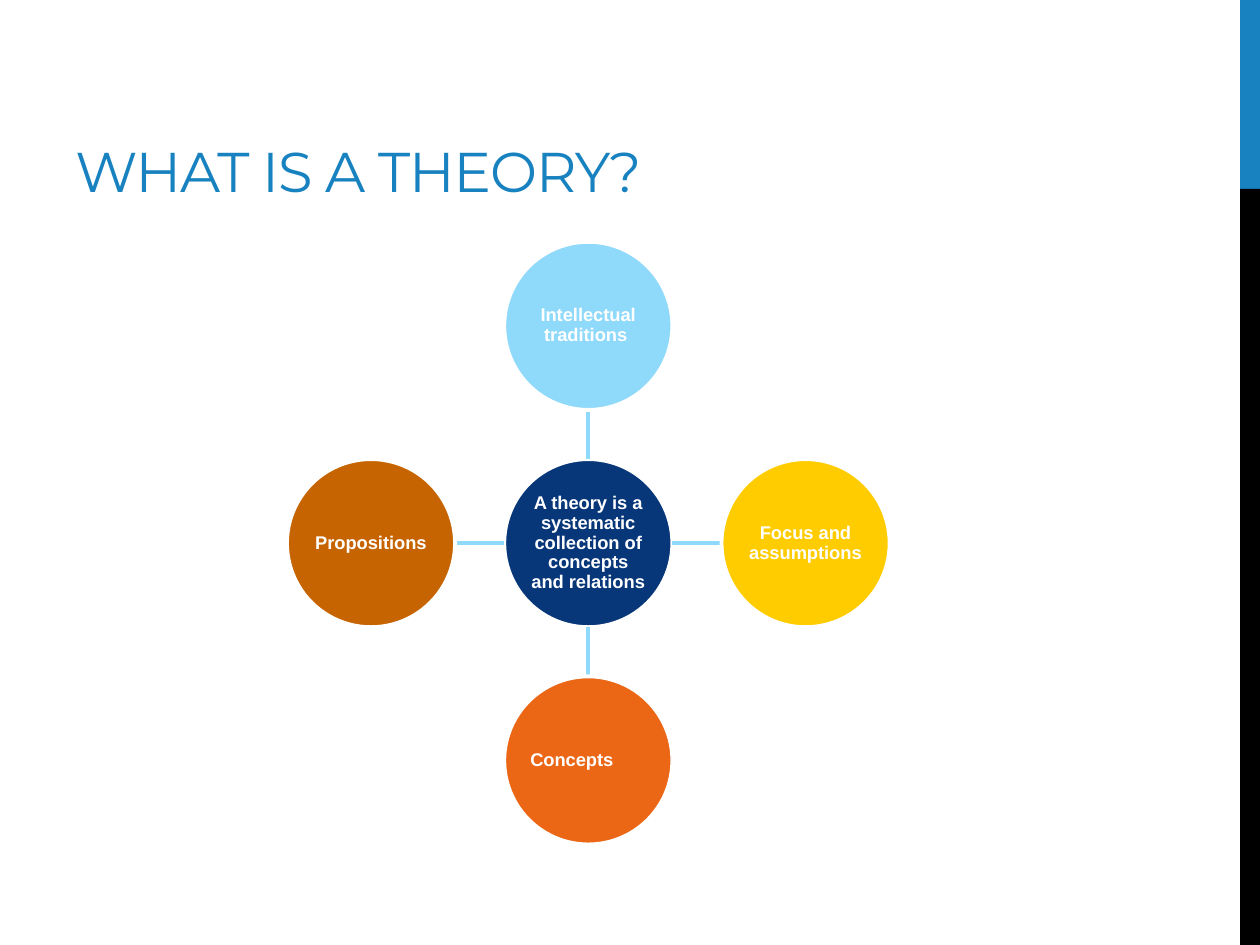
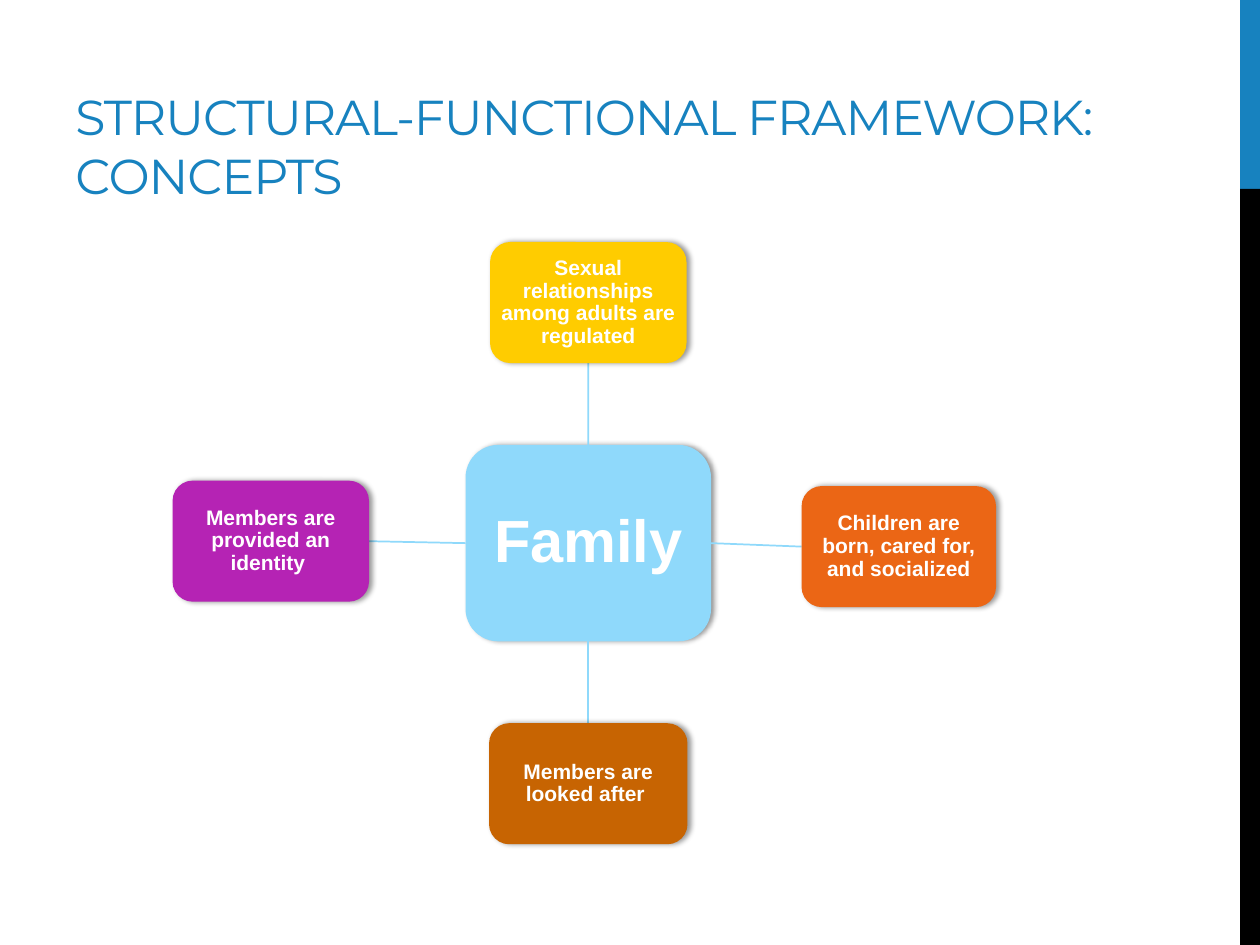
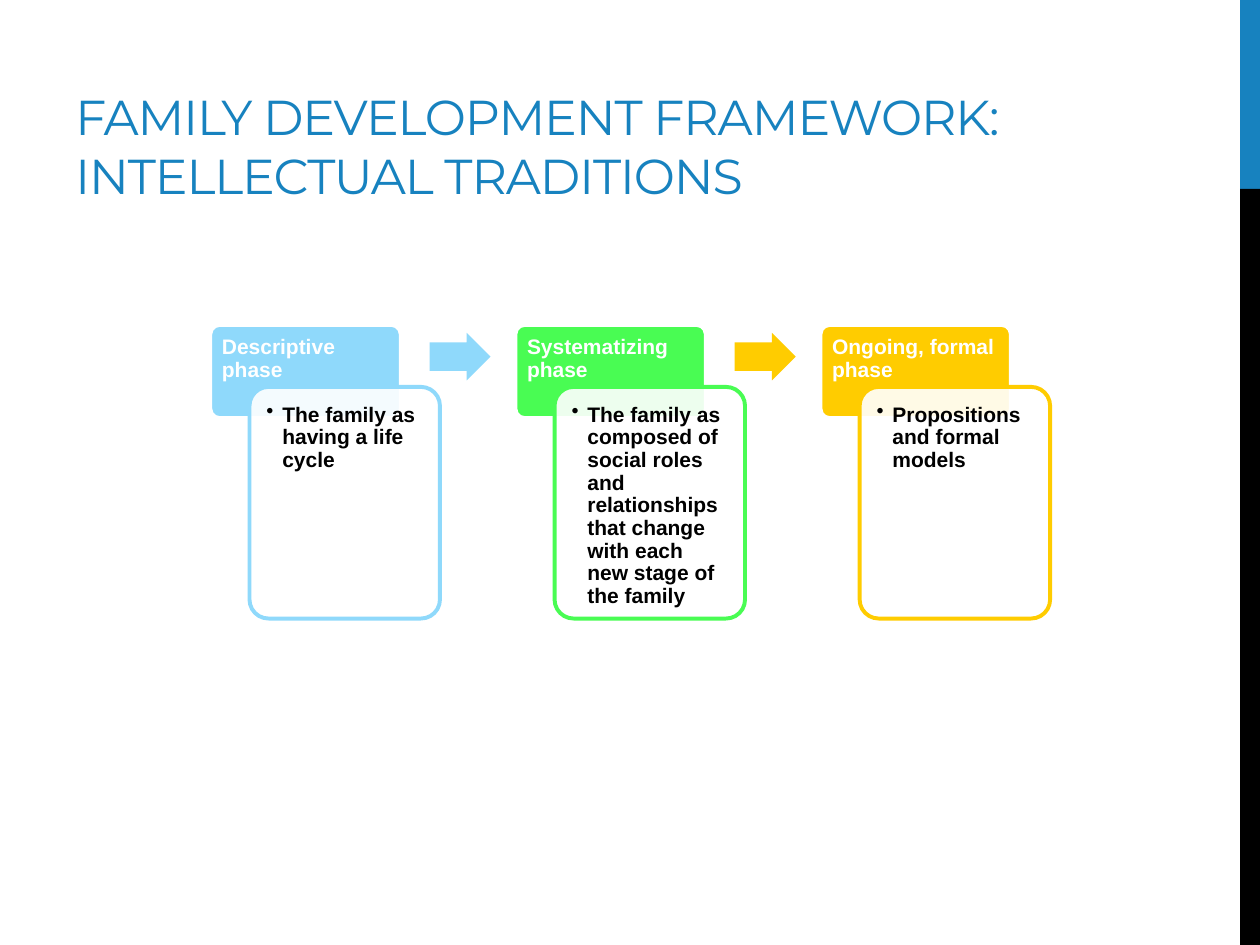
from lxml.etree import SubElement
from pptx import Presentation
from pptx.dml.color import RGBColor
from pptx.enum.shapes import MSO_CONNECTOR, MSO_SHAPE
from pptx.enum.text import MSO_ANCHOR, PP_ALIGN
from pptx.oxml.ns import qn
from pptx.util import Cm, Pt

# Shared look
BLUE, BLACK, WHITE = "1782BF", "000000", "FFFFFF"
SKY, NAVY, YELLOW, ORANGE = "8FD9FB", "073779", "FFCC00", "EB6615"
BROWN, PURPLE, GREEN = "C76402", "B523B4", "49FC53"
TITLE_FONT, BODY_FONT = "Montserrat", "Arial"
OUTLINE = 2.25
HUB_CENTRE = (11.86, 10.95)
TOP, LEFT, BOTTOM, RIGHT = range(4)  # sides, numbered as connection sites
DIRECTIONS = {TOP: (0, -1), LEFT: (-1, 0), BOTTOM: (0, 1), RIGHT: (1, 0)}

# Content: a spoke is side, text, colour, centre offset, size, alignment
CIRCLE, PITCH = (3.39, 3.39), 4.38
THEORY = {
    "title": ["WHAT IS A THEORY?"], "title_size": 32, "title_width": 16.08,
    "form": MSO_SHAPE.OVAL, "text_size": 10.5, "inset": 0.03,
    "outline": WHITE, "link_width": 2.25, "shadow": False,
    "hub": ("A theory is a systematic collection of concepts and relations",
            NAVY, CIRCLE, 10.5),
    "spokes": [
        (TOP, "Intellectual traditions ", SKY, (0, -PITCH), CIRCLE, PP_ALIGN.CENTER),
        (RIGHT, "Focus and assumptions ", YELLOW, (PITCH, 0), CIRCLE, PP_ALIGN.CENTER),
        (BOTTOM, "Concepts", ORANGE, (0, PITCH), CIRCLE, PP_ALIGN.LEFT),
        (LEFT, "Propositions ", BROWN, (-PITCH, 0), CIRCLE, PP_ALIGN.CENTER),
    ],
}
FUNCTIONS = {
    "title": ["STRUCTURAL-FUNCTIONAL FRAMEWORK:", "CONCEPTS"],
    "title_size": 28, "title_width": 23.5,
    "form": MSO_SHAPE.ROUNDED_RECTANGLE, "text_size": 12, "inset": 0.08,
    "outline": None, "link_width": 1, "shadow": True,
    "hub": ("Family", SKY, (4.95, 3.96), 34),
    "spokes": [
        (TOP, "Sexual relationships among adults are regulated", YELLOW,
         (0, -4.85), (3.96, 2.44), PP_ALIGN.CENTER),
        (RIGHT, "Children are born, cared for, and socialized", ORANGE,
         (6.26, 0.07), (3.92, 2.44), PP_ALIGN.CENTER),
        (BOTTOM, "Members are looked after ", BROWN,
         (0, 4.85), (4, 2.44), PP_ALIGN.CENTER),
        (LEFT, "Members are provided an identity ", PURPLE,
         (-6.4, -0.04), (3.96, 2.44), PP_ALIGN.CENTER),
    ],
}
PHASES_TITLE = ["FAMILY DEVELOPMENT FRAMEWORK:", "INTELLECTUAL TRADITIONS"]
PHASES = [  # heading, text, colour, colour of the arrow that follows
    ("Descriptive phase", "The family as having a life cycle", SKY, SKY),
    ("Systematizing phase",
     "The family as composed of social roles and relationships "
     "that change with each new stage of the family", GREEN, YELLOW),
    ("Ongoing, formal phase", "Propositions and formal models", YELLOW, None),
]


def colour(hex_string):
    return RGBColor.from_string(hex_string)


def add_box(slide, form, box, fill, outline=None):
    shape = slide.shapes.add_shape(form, *map(Cm, box))
    shape.shadow.inherit = False
    shape.fill.solid()
    shape.fill.fore_color.rgb = colour(fill)
    if outline:
        shape.line.color.rgb = colour(outline)
        shape.line.width = Pt(OUTLINE)
    else:
        shape.line.fill.background()
    return shape


def add_run(paragraph, text, size, hex_string, font=BODY_FONT, bold=True):
    run = paragraph.add_run()
    run.text = text
    run.font.name, run.font.size, run.font.bold = font, Pt(size), bold
    run.font.color.rgb = colour(hex_string)
    return run


def write(shape, text, size, inset, hex_string=WHITE,
          align=PP_ALIGN.CENTER, anchor=MSO_ANCHOR.MIDDLE):
    frame = shape.text_frame
    frame.word_wrap = True
    frame.vertical_anchor = anchor
    frame.margin_left = frame.margin_right = Cm(inset)
    frame.margin_top = frame.margin_bottom = Cm(inset)
    paragraph = frame.paragraphs[0]
    paragraph.alignment = align
    paragraph.line_spacing = 0.9
    add_run(paragraph, text, size, hex_string)
    return paragraph


def add_shadow(shape):
    effects = shape._element.spPr.find(qn("a:effectLst"))
    shadow = SubElement(effects, qn("a:outerShdw"), blurRad=str(Pt(3.1)),
                        dist=str(Pt(1.8)), dir="0", rotWithShape="0")
    shade = SubElement(shadow, qn("a:srgbClr"), val=BLACK)
    SubElement(shade, qn("a:alpha"), val="40000")


def add_bullet(paragraph, indent):
    properties = paragraph._p.get_or_add_pPr()
    properties.set("marL", str(Cm(indent)))
    properties.set("indent", str(-Cm(indent)))
    SubElement(properties, qn("a:buChar"), char="•")


def new_slide(presentation, title, size, width):
    slide = presentation.slides.add_slide(presentation.slide_layouts[6])
    # Side band
    add_box(slide, MSO_SHAPE.RECTANGLE, (25, 0, 0.4, 3.81), BLUE)
    add_box(slide, MSO_SHAPE.RECTANGLE, (25, 3.81, 0.4, 15.24), BLACK)
    # Title
    frame = slide.shapes.add_textbox(Cm(1.27), Cm(0.43), Cm(width), Cm(3.81)).text_frame
    frame.word_wrap = True
    frame.vertical_anchor = MSO_ANCHOR.BOTTOM
    paragraph = frame.paragraphs[0]
    for index, line in enumerate(title):
        if index:
            paragraph.add_line_break()
        run = add_run(paragraph, line, size, BLUE, TITLE_FONT, False)
        run._r.get_or_add_rPr().set("spc", "-60")
    return slide


def side_point(centre, size, side):
    return [Cm(c + d * s / 2) for c, d, s in zip(centre, DIRECTIONS[side], size)]


def add_hub_slide(presentation, content):
    slide = new_slide(presentation, content["title"], content["title_size"],
                      content["title_width"])

    def add_node(text, fill, centre, size, text_size, inset, align):
        box = (centre[0] - size[0] / 2, centre[1] - size[1] / 2, *size)
        node = add_box(slide, content["form"], box, fill, content["outline"])
        write(node, text, text_size, inset, align=align)
        if content["shadow"]:
            add_shadow(node)
        return node

    # Hub
    text, fill, hub_size, hub_text_size = content["hub"]
    hub_inset = content["inset"] * hub_text_size / content["text_size"]
    hub = add_node(text, fill, HUB_CENTRE, hub_size, hub_text_size, hub_inset,
                   PP_ALIGN.CENTER)
    # Spokes and their links
    for side, text, fill, offset, size, align in content["spokes"]:
        centre = [c + o for c, o in zip(HUB_CENTRE, offset)]
        facing = (side + 2) % 4
        link = slide.shapes.add_connector(
            MSO_CONNECTOR.STRAIGHT, *side_point(HUB_CENTRE, hub_size, side),
            *side_point(centre, size, facing))
        link.line.color.rgb = colour(SKY)
        link.line.width = Pt(content["link_width"])
        SubElement(link._element.spPr, qn("a:effectLst"))
        spoke = add_node(text, fill, centre, size, content["text_size"],
                         content["inset"], align)
        if content["form"] == MSO_SHAPE.ROUNDED_RECTANGLE:
            link.begin_connect(hub, side)
            link.end_connect(spoke, facing)


def add_phases_slide(presentation):
    slide = new_slide(presentation, PHASES_TITLE, 28, 23.5)
    for index, (heading, text, fill, arrow_fill) in enumerate(PHASES):
        left = 4.24 + index * 6.15
        # Heading
        header = add_box(slide, MSO_SHAPE.ROUNDED_RECTANGLE,
                         (left, 6.55, 3.84, 1.88), fill, WHITE)
        header.adjustments[0] = 0.1
        write(header, heading, 12, 0.18, align=PP_ALIGN.LEFT, anchor=MSO_ANCHOR.TOP)
        # Translucent card
        card = add_box(slide, MSO_SHAPE.ROUNDED_RECTANGLE,
                       (left + 0.79, 7.8, 3.84, 4.67), WHITE, fill)
        card.adjustments[0] = 0.1
        shade = card._element.spPr.find(qn("a:solidFill")).find(qn("a:srgbClr"))
        SubElement(shade, qn("a:alpha"), val="90000")
        paragraph = write(card, text, 12, 0.23, BLACK, PP_ALIGN.LEFT, MSO_ANCHOR.TOP)
        add_bullet(paragraph, 0.32)
        # Arrow to the next phase
        if arrow_fill:
            arrow = add_box(slide, MSO_SHAPE.RIGHT_ARROW,
                            (left + 4.42, 6.71, 1.23, 0.96), arrow_fill)
            arrow.adjustments[0] = 0.6
            arrow.adjustments[1] = 0.5


def main():
    presentation = Presentation()
    presentation.slide_width, presentation.slide_height = Cm(25.4), Cm(19.05)
    add_hub_slide(presentation, THEORY)
    add_hub_slide(presentation, FUNCTIONS)
    add_phases_slide(presentation)
    presentation.save("out.pptx")


if __name__ == "__main__":
    main()
